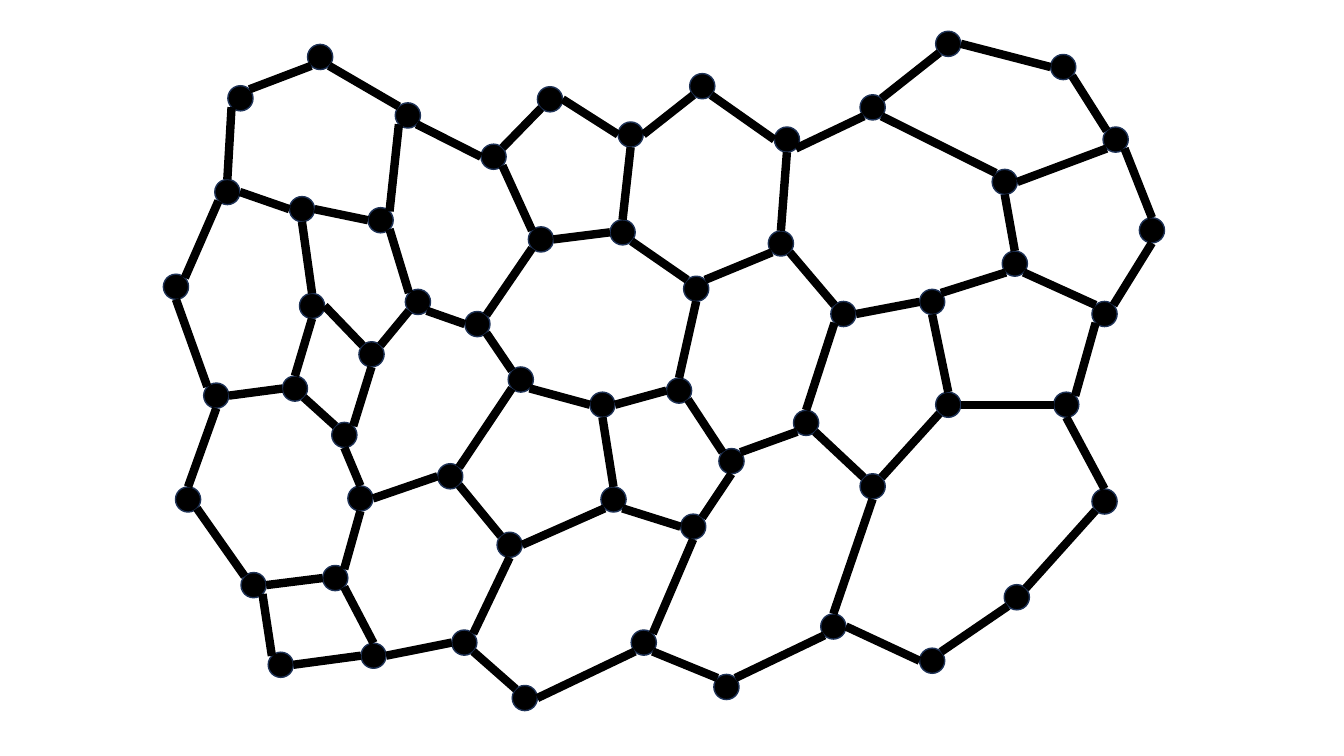
from math import sqrt

from lxml import etree
from pptx import Presentation
from pptx.dml.color import RGBColor
from pptx.enum.shapes import MSO_CONNECTOR, MSO_SHAPE
from pptx.oxml.ns import qn
from pptx.util import Inches, Pt

OVAL = MSO_SHAPE.OVAL
STRAIGHT = MSO_CONNECTOR.STRAIGHT
BLACK = RGBColor(0x00, 0x00, 0x00)
NAVY = RGBColor(0x1E, 0x32, 0x56)

# Points on a vertex's rim, as unit offsets from its centre
D = sqrt(0.5)
N, E, S, W = (0, -1), (1, 0), (0, 1), (-1, 0)
NE, SE, SW, NW = (D, -D), (D, D), (-D, D), (-D, -D)

# Left and top of every vertex, in inches; edges refer to them by position
VERTICES = [
    # 0-9
    (2.26, 0.85), (3.05, 0.44), (3.92, 1.02), (4.77, 1.43), (5.33, 0.86),
    (6.13, 1.21), (6.84, 0.73), (7.68, 1.26), (8.53, 0.94), (9.28, 0.31),
    # 10-19
    (10.42, 0.54), (10.94, 1.26), (9.84, 1.68), (11.3, 2.16), (10.83, 2.99),
    (9.94, 2.49), (6.78, 2.74), (7.62, 2.29), (6.05, 2.18), (8.24, 2.99),
    # 20-29
    (9.12, 2.87), (5.24, 2.25), (4.61, 3.09), (3.65, 2.06), (2.87, 1.95),
    (4.02, 2.87), (2.13, 1.78), (1.62, 2.72), (2.97, 2.91), (10.83, 4.85),
    # 30-39
    (5.04, 3.64), (5.85, 3.89), (6.61, 3.75), (10.45, 3.89), (7.87, 4.07),
    (8.53, 4.7), (9.28, 3.89), (9.96, 5.8), (9.12, 6.43), (2.02, 3.8),
    # 40-49
    (8.14, 6.09), (7.13, 4.45), (6.75, 5.1), (7.08, 6.69), (6.26, 6.25),
    (5.96, 4.83), (3.56, 3.39), (2.8, 3.73), (2.66, 6.47), (2.39, 5.68),
    # 50-58
    (1.74, 4.83), (3.29, 4.19), (4.34, 4.6), (3.45, 4.82), (3.2, 5.61),
    (3.58, 6.38), (4.93, 5.28), (4.48, 6.25), (5.08, 6.8),
]

# Start vertex and rim point, end vertex and rim point
EDGES = [
    # Upper rim and the cells below it
    (0, NE, 1, SW), (1, SE, 2, NW), (2, SE, 3, W), (3, NE, 4, SW),
    (5, W, 4, E), (6, SW, 5, E), (7, W, 6, SE), (8, SW, 7, SE),
    (8, NE, 9, SW), (10, W, 9, E), (10, SE, 11, NW), (12, E, 11, SW),
    (8, SE, 12, NW), (15, N, 12, S), (13, N, 11, SE), (14, NE, 13, S),
    (33, NE, 14, SW), (14, NW, 15, SE), (15, SW, 20, NE), (17, N, 7, S),
    (20, W, 19, E), (17, SW, 16, NE), (5, S, 18, N), (21, E, 18, W),
    (3, SE, 21, NW), (22, NE, 21, SW), (23, NE, 2, SW), (23, W, 24, E),
    # Left side
    (26, N, 0, SW), (26, SW, 27, NE), (26, E, 24, W), (28, N, 24, S),
    (28, S, 47, N), (27, S, 39, NW), (50, N, 39, S), (47, W, 39, E),
    (54, W, 49, E), (55, W, 48, E), (49, NW, 50, SE), (49, SE, 48, NW),
    (53, S, 54, NE), (52, W, 53, E), (52, SE, 56, NW), (54, SE, 55, N),
    # Lower middle
    (56, S, 57, NE), (57, W, 55, E), (45, SW, 56, E), (45, SE, 42, W),
    (44, NE, 42, S), (57, SE, 58, NW), (44, SW, 58, E), (41, NW, 32, SE),
    (32, W, 31, E), (45, N, 31, S), (31, W, 30, SE), (30, SW, 52, NE),
    (22, SE, 30, NW), (25, SE, 22, W), (46, NE, 25, SW), (25, NW, 23, SE),
    (46, NW, 28, E), (46, S, 51, NE), (47, SE, 51, NW), (53, N, 51, S),
    # Centre and right side
    (18, SE, 16, NW), (32, N, 16, S), (17, SE, 19, NW), (34, N, 19, SW),
    (34, SW, 41, NE), (41, S, 42, NE), (35, NW, 34, SE), (35, S, 40, N),
    (38, W, 40, E), (40, SW, 43, NE), (44, SE, 43, NW), (35, NE, 36, SW),
    (37, NE, 29, SW), (37, SW, 38, NE), (33, S, 29, N), (36, E, 33, W),
    (20, S, 36, N),
]


class GraphSlide:
    """Draws the vertices and edges of a graph in one style."""

    diameter = Inches(0.25)
    rim_width = Pt(1)
    edge_width = Pt(6)

    def __init__(self, slide):
        self.shapes = slide.shapes

    def vertex(self, left, top):
        dot = self.shapes.add_shape(
            OVAL, Inches(left), Inches(top), self.diameter, self.diameter)
        dot.shadow.inherit = False
        dot.fill.solid()
        dot.fill.fore_color.rgb = BLACK
        dot.line.color.rgb = NAVY
        dot.line.width = self.rim_width
        return dot

    def rim_point(self, dot, direction):
        radius = self.diameter / 2
        dx, dy = direction
        return (round(dot.left + radius * (1 + dx)),
                round(dot.top + radius * (1 + dy)))

    def edge(self, start, start_side, end, end_side):
        edge = self.shapes.add_connector(
            STRAIGHT, *self.rim_point(start, start_side),
            *self.rim_point(end, end_side))
        edge.line.color.rgb = BLACK
        edge.line.width = self.edge_width
        etree.SubElement(edge.element.spPr, qn("a:effectLst"))


def main():
    presentation = Presentation()
    presentation.slide_width = Inches(13.33)
    presentation.slide_height = Inches(7.5)
    blank_layout = presentation.slide_layouts[6]
    graph = GraphSlide(presentation.slides.add_slide(blank_layout))

    # Vertices, then the edges between them
    dots = [graph.vertex(left, top) for left, top in VERTICES]
    for start, start_side, end, end_side in EDGES:
        graph.edge(dots[start], start_side, dots[end], end_side)

    presentation.save("out.pptx")


if __name__ == "__main__":
    main()
